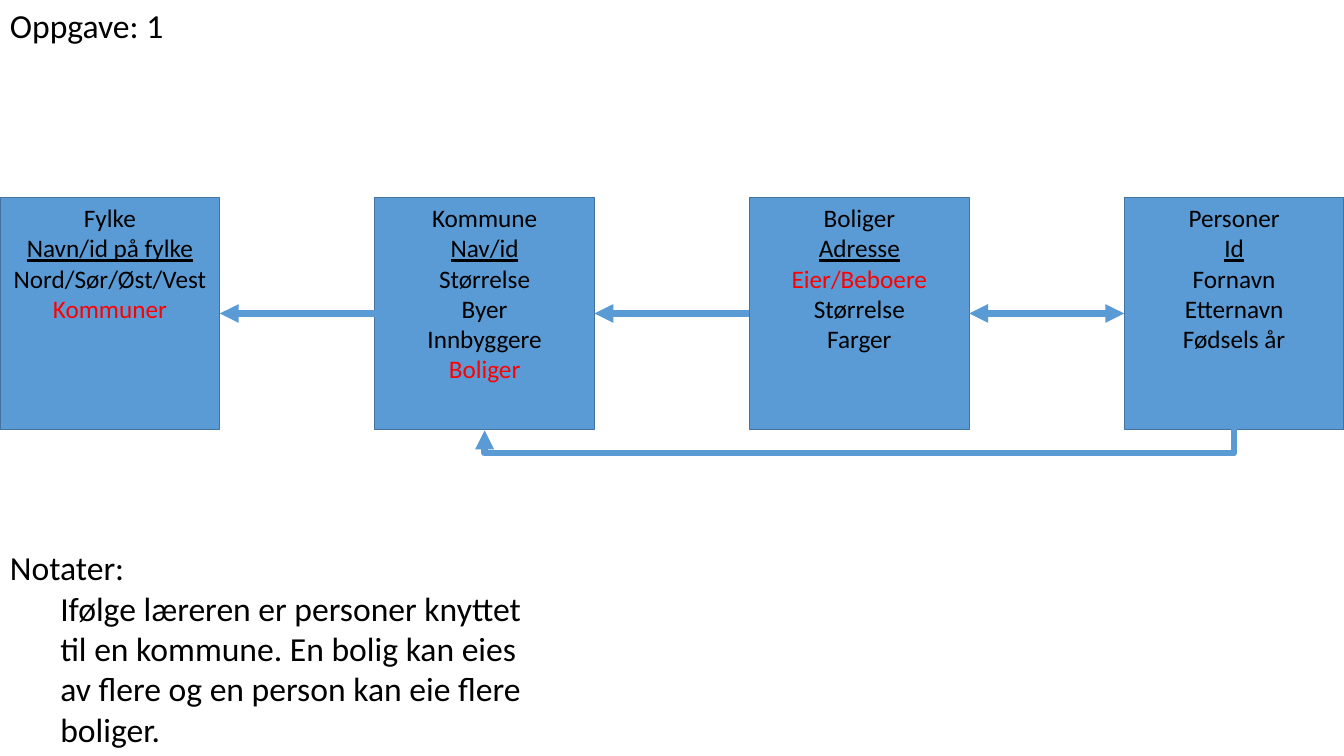
from lxml.etree import SubElement
from pptx import Presentation
from pptx.dml.color import RGBColor
from pptx.enum.shapes import MSO_CONNECTOR, MSO_SHAPE
from pptx.enum.text import MSO_AUTO_SIZE, PP_ALIGN
from pptx.oxml.ns import qn
from pptx.util import Inches, Pt

BLUE = RGBColor(0x5B, 0x9B, 0xD5)
BORDER = RGBColor(0x43, 0x73, 0x9E)
BLACK = RGBColor(0, 0, 0)
RED = RGBColor(0xFF, 0, 0)

KEY = {"underline": True}
RELATION = {"color": RED}
LEFT, BOTTOM, RIGHT = 1, 2, 3


class Diagram:
    font = "Calibri"
    arrow_width = Pt(4.5)

    def __init__(self, slide):
        self.shapes = slide.shapes

    def text(self, left, top, width, height, lines, size, align=PP_ALIGN.LEFT):
        box = self.shapes.add_textbox(*map(Inches, (left, top, width, height)))
        frame = box.text_frame
        frame.word_wrap = True
        frame.auto_size = MSO_AUTO_SIZE.SHAPE_TO_FIT_TEXT
        for index, (wording, style) in enumerate(lines):
            paragraph = frame.paragraphs[0] if index == 0 else frame.add_paragraph()
            paragraph.alignment = align
            run = paragraph.add_run()
            run.text = wording
            style = {"name": self.font, "size": Pt(size), "color": BLACK, **style}
            run.font.color.rgb = style.pop("color")
            for attribute, value in style.items():
                setattr(run.font, attribute, value)
        return frame

    def entity(self, left, top, width, height, lines, text_height):
        box = self.shapes.add_shape(
            MSO_SHAPE.RECTANGLE, *map(Inches, (left, top, width, height)))
        box.shadow.inherit = False
        box.fill.solid()
        box.fill.fore_color.rgb = BLUE
        box.line.color.rgb = BORDER
        box.line.width = Pt(1)
        self.text(left, top, width, text_height, lines, 18, PP_ALIGN.CENTER)
        return box

    def connector(self, kind, start, end, ends):
        link = self.shapes.add_connector(kind, *map(Inches, start + end))
        link.line.color.rgb = BLUE
        link.line.width = self.arrow_width
        outline = link.line._get_or_add_ln()
        for arrow_end in ends:
            SubElement(outline, qn(f"a:{arrow_end}")).set("type", "triangle")
        SubElement(link._element.spPr, qn("a:effectLst"))
        return link

    def arrow(self, source, source_site, target, target_site, ends=("tailEnd",)):
        link = self.connector(MSO_CONNECTOR.STRAIGHT, (0, 0), (0, 0), ends)
        link.begin_connect(source, source_site)
        link.end_connect(target, target_site)

    def arrow_below(self, start_x, end_x, bottom, drop):
        thickness = 0.01
        middle_x, middle_y = (start_x + end_x) / 2, bottom + thickness / 2
        half_span = (start_x - end_x) / 2
        link = self.connector(
            MSO_CONNECTOR.ELBOW,
            (middle_x - thickness / 2, middle_y - half_span),
            (middle_x + thickness / 2, middle_y + half_span), ("tailEnd",))
        properties = link._element.spPr
        properties.find(qn("a:xfrm")).set("rot", str(90 * 60000))
        guides = properties.find(qn("a:prstGeom")).find(qn("a:avLst"))
        bend = SubElement(guides, qn("a:gd"))
        bend.set("name", "adj1")
        bend.set("fmla", f"val {round(drop / thickness * 100000)}")


SLIDE_WIDTH, SLIDE_HEIGHT = 13.33, 7.5
BOX_TOP, BOX_WIDTH, BOX_HEIGHT = 1.96, 2.18, 2.3

ENTITIES = [
    ([("Fylke", {}), ("Navn/id på fylke", KEY), ("Nord/Sør/Øst/Vest", {}),
      ("Kommuner", RELATION)], 1.62),
    ([("Kommune", {}), ("Nav/id", KEY), ("Størrelse", {}), ("Byer", {}),
      ("Innbyggere", {}), ("Boliger", RELATION)], 1.92),
    ([("Boliger", {}), ("Adresse", KEY), ("Eier/Beboere", RELATION),
      ("Størrelse", {}), ("Farger", {})], 1.62),
    ([("Personer", {}), ("Id", KEY), ("Fornavn", {}), ("Etternavn", {}),
      ("Fødsels år", {})], 1.62),
]

presentation = Presentation()
presentation.slide_width = Inches(SLIDE_WIDTH)
presentation.slide_height = Inches(SLIDE_HEIGHT)
diagram = Diagram(presentation.slides.add_slide(presentation.slide_layouts[6]))

pitch = (SLIDE_WIDTH - BOX_WIDTH) / (len(ENTITIES) - 1)
fylke, kommune, boliger, personer = [
    diagram.entity(index * pitch, BOX_TOP, BOX_WIDTH, BOX_HEIGHT, lines, text_height)
    for index, (lines, text_height) in enumerate(ENTITIES)
]

diagram.arrow(kommune, LEFT, fylke, RIGHT)
diagram.arrow_below(3 * pitch + BOX_WIDTH / 2, pitch + BOX_WIDTH / 2,
                    BOX_TOP + BOX_HEIGHT, 0.24)
diagram.arrow(boliger, LEFT, kommune, RIGHT)
diagram.arrow(boliger, RIGHT, personer, LEFT, ("headEnd", "tailEnd"))

diagram.text(0, 0, 5.44, 0.5, [("Oppgave: 1", {})], 24)
notes = diagram.text(0, 5.38, 5.44, 2.12, [
    ("Notater: ", {}),
    ("Ifølge læreren er personer knyttet til en kommune. En bolig kan eies av "
     "flere og en person kan eie flere boliger.", {}),
], 24)
explanation = notes.paragraphs[1]
explanation.level = 1
explanation._p.get_or_add_pPr().set("marL", str(Inches(0.5)))

presentation.save("out.pptx")
